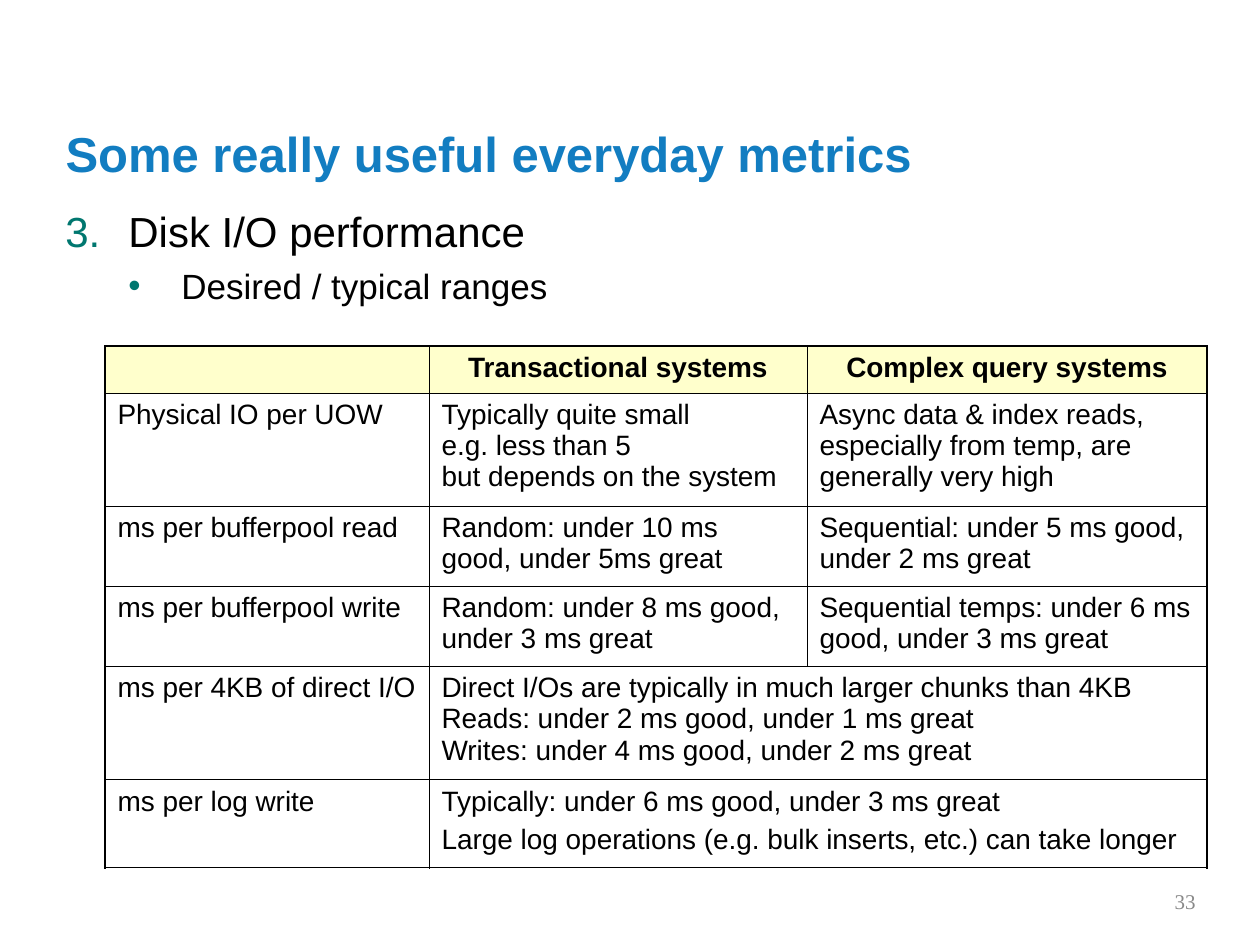
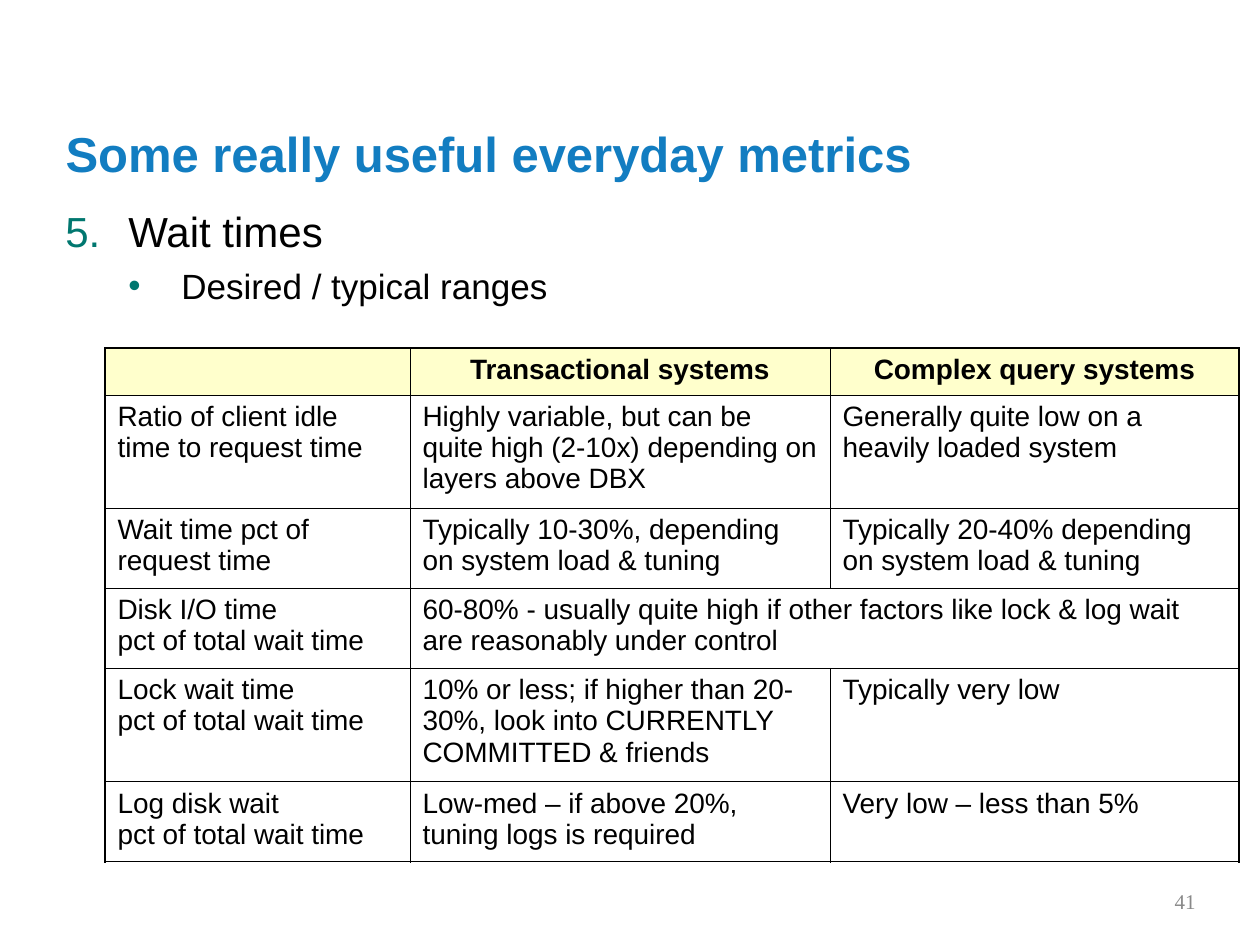
from lxml.etree import SubElement
from pptx import Presentation
from pptx.dml.color import RGBColor
from pptx.enum.text import MSO_ANCHOR as Anchor, MSO_AUTO_SIZE as AutoSize, PP_ALIGN as Align
from pptx.oxml.ns import qn
from pptx.util import Emu, Pt

# Content: "\v" breaks a line, "\n" starts a paragraph;
# a row with two entries lets the second span both system columns
TITLE = "Some really useful everyday metrics"
SUBTOPIC = "Desired / typical ranges"
HEADINGS = ("", "Transactional systems", "Complex query systems")
METRIC_SLIDES = [
    {
        "page": "33", "number": 3, "topic": "Disk I/O performance",
        "top": 346, "columns": (324, 378, 400), "heights": (47, 113, 80, 80, 113, 88),
        "rows": [
            ("Physical IO per UOW",
             "Typically quite small\ve.g. less than 5\vbut depends on the system",
             "Async data & index reads, especially from temp, are generally very high"),
            ("ms per bufferpool read",
             "Random: under 10 ms good, under 5ms great",
             "Sequential: under 5 ms good, under 2 ms great"),
            ("ms per bufferpool write",
             "Random: under 8 ms good, under 3 ms great",
             "Sequential temps: under 6 ms good, under 3 ms great"),
            ("ms per 4KB of direct I/O",
             "Direct I/Os are typically in much larger chunks than 4KB\v"
             "Reads: under 2 ms good, under 1 ms great\v"
             "Writes: under 4 ms good, under 2 ms great"),
            ("ms per log write",
             "Typically: under 6 ms good, under 3 ms great\n"
             "Large log operations (e.g. bulk inserts, etc.) can take longer"),
        ],
    },
    {
        "page": "41", "number": 5, "topic": "Wait times",
        "top": 348, "columns": (305, 420, 409), "heights": (47, 113, 80, 80, 113, 80),
        "rows": [
            ("Ratio of client idle time to request time",
             "Highly variable, but can be quite high (2-10x) depending on layers above DBX",
             "Generally quite low on a heavily loaded system"),
            ("Wait time pct of request time",
             "Typically 10-30%, depending on system load & tuning",
             "Typically 20-40% depending on system load & tuning"),
            ("Disk I/O time\vpct of total wait time",
             "60-80% - usually quite high if other factors like lock & log wait "
             "are reasonably under control"),
            ("Lock wait time\vpct of total wait time",
             "10% or less; if higher than 20-30%, look into CURRENTLY COMMITTED & friends",
             "Typically very low"),
            ("Log disk wait\vpct of total wait time",
             "Low-med – if above 20%, tuning logs is required",
             "Very low – less than 5%"),
        ],
    },
]

# Shared style
BLUE = RGBColor(0x12, 0x7D, 0xC1)
TEAL = RGBColor(0x00, 0x77, 0x6F)
CREAM = RGBColor(0xFF, 0xFF, 0xCC)
GREY = RGBColor(0x89, 0x89, 0x89)
BLACK = RGBColor(0, 0, 0)
OUTER, INNER = Pt(1.08), Pt(0.45)

# Places in px: left, top, width, height
SLIDE_SIZE = (1260, 945)
TITLE_BOX = (53, 105, 1155, 84)
TOPIC_BOX = (53, 199, 1176, 599)
PAGE_BOX = (914, 876, 294, 50)
TABLE_LEFT = 105


def px(length):
    return Emu(round(length * 914400 / 126))


def style(paragraph, size, color=BLACK, face="Arial", bold=False, before=0, align=Align.LEFT):
    font = paragraph.font
    font.name, font.size, font.bold = face, Pt(size), bold
    font.color.rgb = color
    paragraph.space_before = Pt(before)
    paragraph.alignment = align


def add_text(slide, box, text):
    frame = slide.shapes.add_textbox(*map(px, box)).text_frame
    frame.word_wrap = True
    frame.text = text
    return frame


def add_bullet(paragraph, indent, hanging, tag, **mark):
    props = paragraph._p.get_or_add_pPr()
    props.set("marL", str(px(indent)))
    props.set("indent", str(-px(hanging)))
    SubElement(SubElement(props, qn("a:buClr")), qn("a:srgbClr"), val=str(TEAL))
    SubElement(props, qn("a:buFont"), typeface="Arial")
    SubElement(props, qn(tag), **mark)


def add_borders(cell, widths):
    props = cell._tc.get_or_add_tcPr()
    for side, width in zip("LRTB", widths):
        line = SubElement(props, qn(f"a:ln{side}"), w=str(int(width)))
        fill = SubElement(line, qn("a:solidFill"))
        SubElement(fill, qn("a:srgbClr"), val=str(BLACK))


def add_title(slide):
    title = slide.shapes.title
    title.left, title.top, title.width, title.height = map(px, TITLE_BOX)
    frame = title.text_frame
    frame.text = TITLE
    frame.auto_size = AutoSize.NONE
    frame.vertical_anchor = Anchor.BOTTOM
    style(frame.paragraphs[0], 28, BLUE, bold=True)
    frame.paragraphs[0].line_spacing = 0.9


def add_topic(slide, number, topic):
    heading, ranges = add_text(slide, TOPIC_BOX, f"{topic}\n{SUBTOPIC}").paragraphs
    add_bullet(heading, 63, 63, "a:buAutoNum", type="arabicPeriod", startAt=str(number))
    style(heading, 24, before=6)
    ranges.level = 1
    add_bullet(ranges, 116, 53, "a:buChar", char="•")
    style(ranges, 20, before=5)


def add_page_number(slide, page):
    frame = add_text(slide, PAGE_BOX, page)
    frame.vertical_anchor = Anchor.MIDDLE
    style(frame.paragraphs[0], 12, GREY, "Times New Roman", align=Align.RIGHT)


def add_metrics(slide, top, columns, heights, rows):
    rows = [HEADINGS, *rows]
    last_row, last_column = len(rows) - 1, len(columns) - 1
    box = (TABLE_LEFT, top, sum(columns), sum(heights))
    table = slide.shapes.add_table(len(rows), len(columns), *map(px, box)).table
    table.first_row = table.horz_banding = False
    for column, width in zip(table.columns, columns):
        column.width = px(width)
    for row, height in zip(table.rows, heights):
        row.height = px(height)

    for r, entries in enumerate(rows):
        is_header = r == 0
        if len(entries) < len(columns):
            table.cell(r, 1).merge(table.cell(r, last_column))
        for c, entry in enumerate(entries):
            cell = table.cell(r, c)
            cell.text = entry
            at_right = c == len(entries) - 1
            edges = (c == 0, at_right, is_header, r == last_row)
            add_borders(cell, [OUTER if edge else INNER for edge in edges])
            if is_header:
                cell.fill.solid()
                cell.fill.fore_color.rgb = CREAM
            else:
                cell.fill.background()
            for paragraph in cell.text_frame.paragraphs:
                style(paragraph, 16, bold=is_header, before=4,
                      align=Align.CENTER if is_header else Align.LEFT)


def main():
    deck = Presentation()
    deck.slide_width, deck.slide_height = map(px, SLIDE_SIZE)
    for part in METRIC_SLIDES:
        slide = deck.slides.add_slide(deck.slide_layouts[5])
        add_title(slide)
        add_topic(slide, part["number"], part["topic"])
        add_page_number(slide, part["page"])
        add_metrics(slide, part["top"], part["columns"], part["heights"], part["rows"])
    deck.save("out.pptx")


if __name__ == "__main__":
    main()
